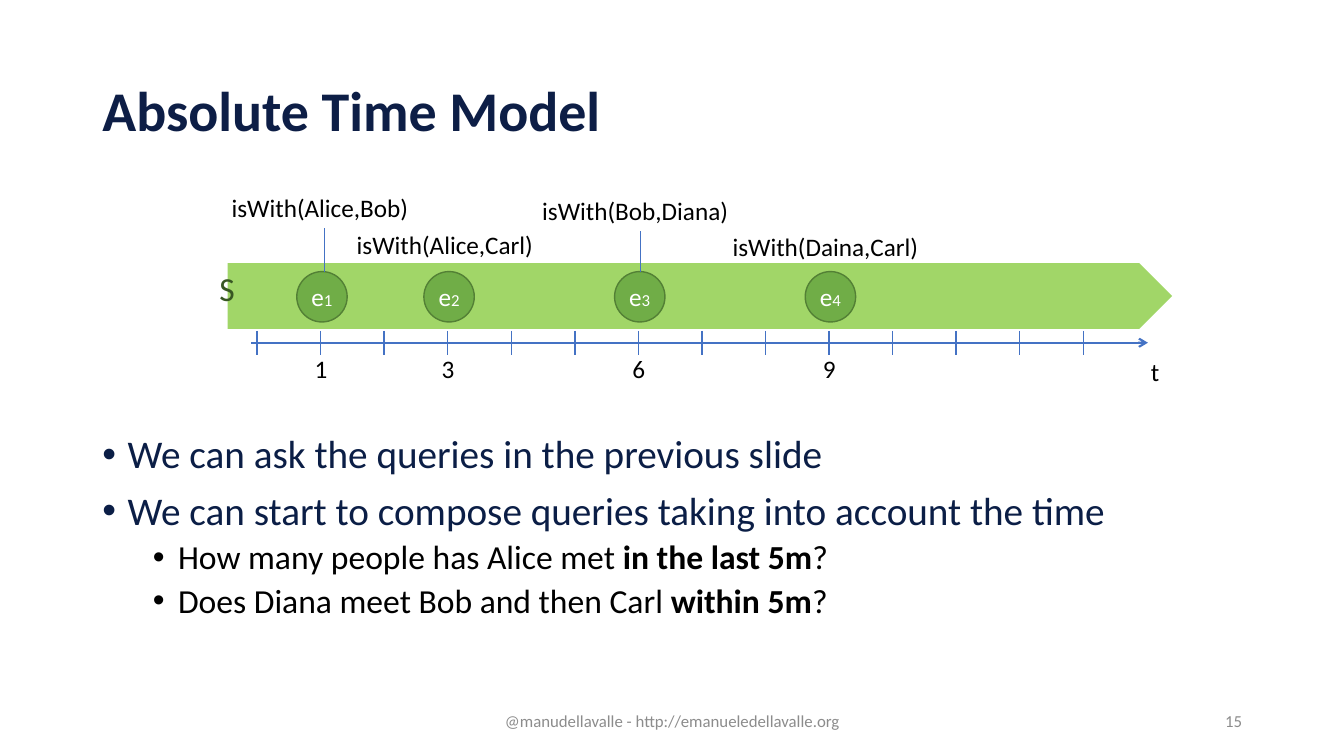
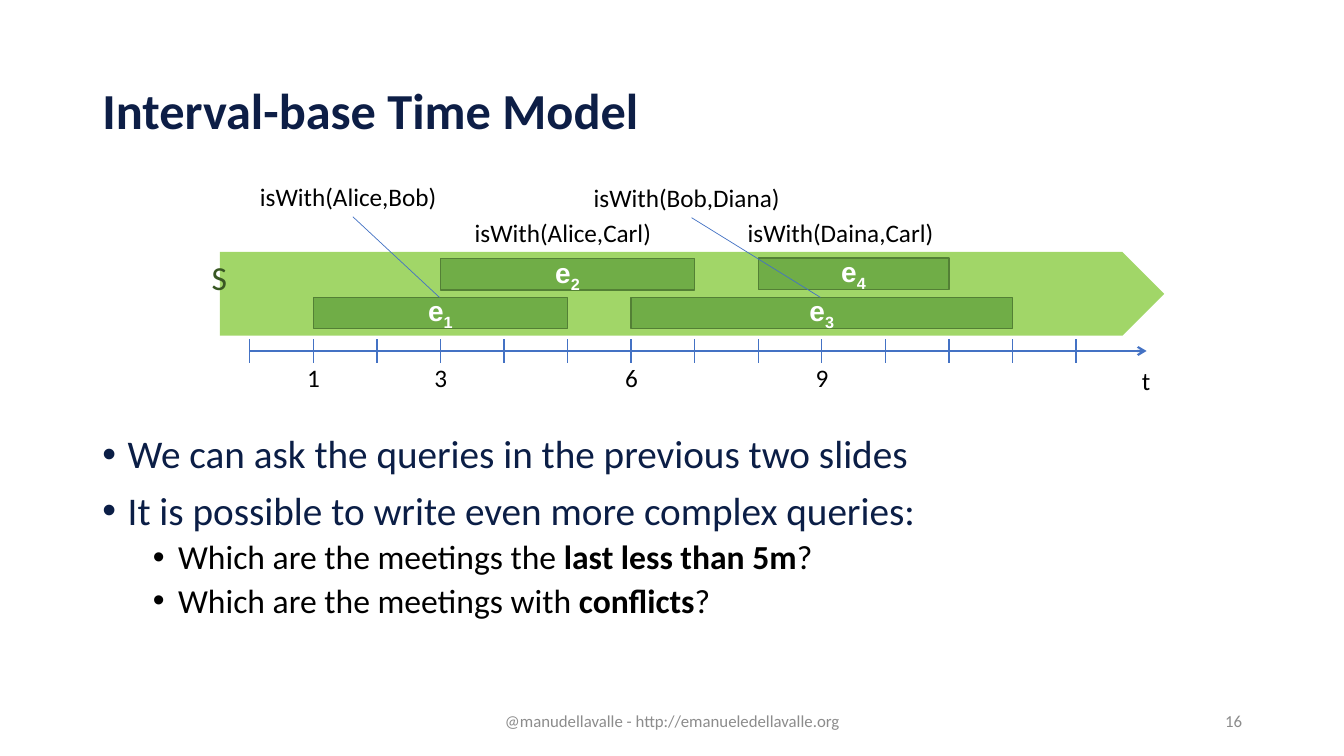
from lxml import etree
from pptx import Presentation
from pptx.dml.color import RGBColor
from pptx.enum import shapes, text
from pptx.oxml import ns
from pptx.util import Pt

# Shared style
COLORS = {"title": "0D1E46", "body": "0B1E46", "text": "000000", "footer": "8C8C8C",
          "stream": "92D050", "event": "70AD47", "event_line": "538035",
          "stream_name": "385723", "axis": "4472C4", "white": "FFFFFF"}
FONT = "Calibri"
FOOTER = "@manudellavalle - http://emanueledellavalle.org"
LEFT, CENTER, RIGHT = text.PP_ALIGN.LEFT, text.PP_ALIGN.CENTER, text.PP_ALIGN.RIGHT

# Timeline rules
TICK_GAP, TICK_COUNT, TICK_HALF = 45.4, 14, 8.5
NUMBERED_TICKS = (1, 3, 6, 9)
STREAM_W, AXIS_W, CIRCLE = 674.6, 640.5, 36

# Content: bullets are (level, [(text, bold), ...]); labels are (text, left, top, width);
# moments are ticks, intervals are (from tick, to tick, top); leaders are (x1, y1, x2, y2)
SLIDES = [
    {"number": "15", "title": "Absolute Time Model", "title_size": 40,
     "bullets": [
         (0, [("We can ask the queries in the previous slide", False)]),
         (0, [("We can start to compose queries taking into account the time", False)]),
         (1, [("How many people has Alice met ", False), ("in the last 5m", True), ("?", False)]),
         (1, [("Does Diana meet Bob and then Carl ", False), ("within 5m", True), ("?", False)])],
     "stream": (162.7, 188, 47), "axis": (179.5, 244.8), "first_tick": 183.6, "t_left": 815,
     "moments": (1, 3, 6, 9), "moment_top": 194, "intervals": (),
     "labels": [("isWith(Alice,Bob)", 158.4, 134, 147), ("isWith(Alice,Carl)", 247.7, 160.5, 145.5),
                ("isWith(Bob,Diana)", 380.2, 136, 154), ("isWith(Daina,Carl)", 516.2, 162, 152)],
     "leaders": [(231.8, 194, 231.8, 162.7), (457.2, 194, 457.2, 165)]},
    {"number": "16", "title": "Interval-base Time Model", "title_size": 36,
     "bullets": [
         (0, [("We can ask the queries in the previous two slides", False)]),
         (0, [("It is possible to write even more complex queries:", False)]),
         (1, [("Which are the meetings the ", False), ("last less than 5m", True), ("?", False)]),
         (1, [("Which are the meetings with ", False), ("conflicts", True), ("?", False)])],
     "stream": (157, 180, 59.8), "axis": (178.5, 250.7), "first_tick": 178.4, "t_left": 808.6,
     "moments": (), "moment_top": 0,
     "intervals": [(1, 5, 212.4), (3, 7, 184.8), (6, 12, 212.4), (8, 11, 184.4)],
     "labels": [("isWith(Alice,Bob)", 178.6, 126, 147), ("isWith(Alice,Carl)", 332, 152, 145.5),
                ("isWith(Bob,Diana)", 417, 126.7, 154), ("isWith(Daina,Carl)", 527, 152, 148.5)],
     "leaders": [(313.9, 212.4, 252, 154.8), (586, 212.4, 494, 155.5)]},
]


def rgb(name):
    return RGBColor.from_string(COLORS[name])


def sub(parent, tag, **attrs):
    return etree.SubElement(parent, ns.qn(tag), attrs)


def style(r, size, color, bold=False, font=FONT):
    r.font.size, r.font.bold, r.font.name = Pt(size), bold, font
    r.font.color.rgb = rgb(color)


def place(sp, left, top, width, height):
    sp.left, sp.top, sp.width, sp.height = Pt(left), Pt(top), Pt(width), Pt(height)


def add_label(s, words, left, top, width, height=29, size=18, color="text"):
    tf = s.shapes.add_textbox(Pt(left), Pt(top), Pt(width), Pt(height)).text_frame
    tf.text = words
    tf.word_wrap = False
    tf.auto_size = text.MSO_AUTO_SIZE.SHAPE_TO_FIT_TEXT
    style(tf.paragraphs[0].runs[0], size, color)


def add_footer(s, words, left, width, align):
    tf = s.shapes.add_textbox(Pt(left), Pt(500.5), Pt(width), Pt(28.75)).text_frame
    tf.text = words
    tf.word_wrap = True
    tf.vertical_anchor = text.MSO_ANCHOR.MIDDLE
    tf.paragraphs[0].alignment = align
    style(tf.paragraphs[0].runs[0], 12, "footer")


def add_line(s, x1, y1, x2, y2, width, arrow=False):
    line = s.shapes.add_connector(shapes.MSO_CONNECTOR.STRAIGHT, Pt(x1), Pt(y1), Pt(x2), Pt(y2))
    line.line.color.rgb = rgb("axis")
    line.line.width = Pt(width)
    if arrow:
        sub(line.line._get_or_add_ln(), "a:tailEnd", type="arrow")
    sub(line._element.spPr, "a:effectLst")


def add_box(s, kind, left, top, width, height, fill, outline=None):
    sp = s.shapes.add_shape(kind, Pt(left), Pt(top), Pt(width), Pt(height))
    sp.shadow.inherit = False
    sp.fill.solid()
    sp.fill.fore_color.rgb = rgb(fill)
    if outline:
        sp.line.color.rgb = rgb(outline)
        sp.line.width = Pt(1)
    else:
        sp.line.fill.background()
    return sp


def add_event(s, kind, number, left, top, width, height):
    sp = add_box(s, kind, left, top, width, height, "event", "event_line")
    tf = sp.text_frame
    tf.vertical_anchor = text.MSO_ANCHOR.MIDDLE
    p = tf.paragraphs[0]
    p.alignment = CENTER
    for words in ("e", str(number)):
        p.add_run().text = words
    letter, index = p.runs
    if kind == shapes.MSO_SHAPE.OVAL:
        tf.margin_left = tf.margin_right = 0
        style(letter, 18, "white")
        style(index, 12, "white")
    else:
        for r in p.runs:
            style(r, 20, "white", True, "Arial")
        index._r.get_or_add_rPr().set("baseline", "-25000")


def fill_title(s, words, size):
    sp = s.shapes.title
    place(sp, 66, 28.75, 654.5, 104.4)
    tf = sp.text_frame
    tf.text = words
    tf.vertical_anchor = text.MSO_ANCHOR.MIDDLE
    p = tf.paragraphs[0]
    p.alignment, p.line_spacing = LEFT, 0.9
    style(p.runs[0], size, "title", True)


def fill_body(s, bullets):
    sp = s.placeholders[1]
    place(sp, 66, 307.2, 828, 179.5)
    tf = sp.text_frame
    tf.auto_size = text.MSO_AUTO_SIZE.NONE
    for i, (level, parts) in enumerate(bullets):
        p = tf.paragraphs[0] if i == 0 else tf.add_paragraph()
        p.level = level
        pPr = p._p.get_or_add_pPr()
        pPr.set("marL", str(Pt(18 + 36 * level)))
        pPr.set("indent", str(-Pt(18)))
        sub(pPr, "a:buFont", typeface="Arial")
        sub(pPr, "a:buChar", char="•")
        p.line_spacing = 0.9
        p.space_before = Pt(0 if i == 0 else 5 if level else 10)
        for words, bold in parts:
            r = p.add_run()
            r.text = words
            style(r, 24 if level else 28, "text" if level else "body", bold)


def draw_timeline(s, d):
    def tick_x(n):
        return d["first_tick"] + n * TICK_GAP

    # Stream band and time axis
    left, top, height = d["stream"]
    band = add_box(s, shapes.MSO_SHAPE.PENTAGON, left, top, STREAM_W, height, "stream")
    sub(band._element.spPr.find(".//" + ns.qn("a:srgbClr")), "a:alpha", val="86000")
    axis_x, axis_y = d["axis"]
    add_line(s, axis_x, axis_y, axis_x + AXIS_W, axis_y, 1.5, arrow=True)
    for n in range(TICK_COUNT):
        add_line(s, tick_x(n), axis_y - TICK_HALF, tick_x(n), axis_y + TICK_HALF, 1)
    for n in NUMBERED_TICKS:
        add_label(s, str(n), tick_x(n) - 11.4, axis_y + 4.3, 23.8)
    add_label(s, "S", left - 13, top, 26, 36, 24, "stream_name")
    add_label(s, "t", d["t_left"], axis_y + 6.5, 21)

    # Events, their labels and leader lines
    for i, n in enumerate(d["moments"], 1):
        add_event(s, shapes.MSO_SHAPE.OVAL, i, tick_x(n) + 1 - CIRCLE / 2,
                  d["moment_top"], CIRCLE, CIRCLE)
    for i, (start, end, event_top) in enumerate(d["intervals"], 1):
        add_event(s, shapes.MSO_SHAPE.RECTANGLE, i, tick_x(start), event_top,
                  tick_x(end) - tick_x(start), 22.3)
    for label in d["labels"]:
        add_label(s, *label)
    for leader in d["leaders"]:
        add_line(s, *leader, 0.5)


def main():
    prs = Presentation()
    prs.slide_width, prs.slide_height = Pt(960), Pt(540)
    for d in SLIDES:
        s = prs.slides.add_slide(prs.slide_layouts[1])
        fill_title(s, d["title"], d["title_size"])
        fill_body(s, d["bullets"])
        draw_timeline(s, d)
        add_footer(s, FOOTER, 257.8, 445, CENTER)
        add_footer(s, d["number"], 719.3, 175, RIGHT)
    prs.save("out.pptx")


if __name__ == "__main__":
    main()
